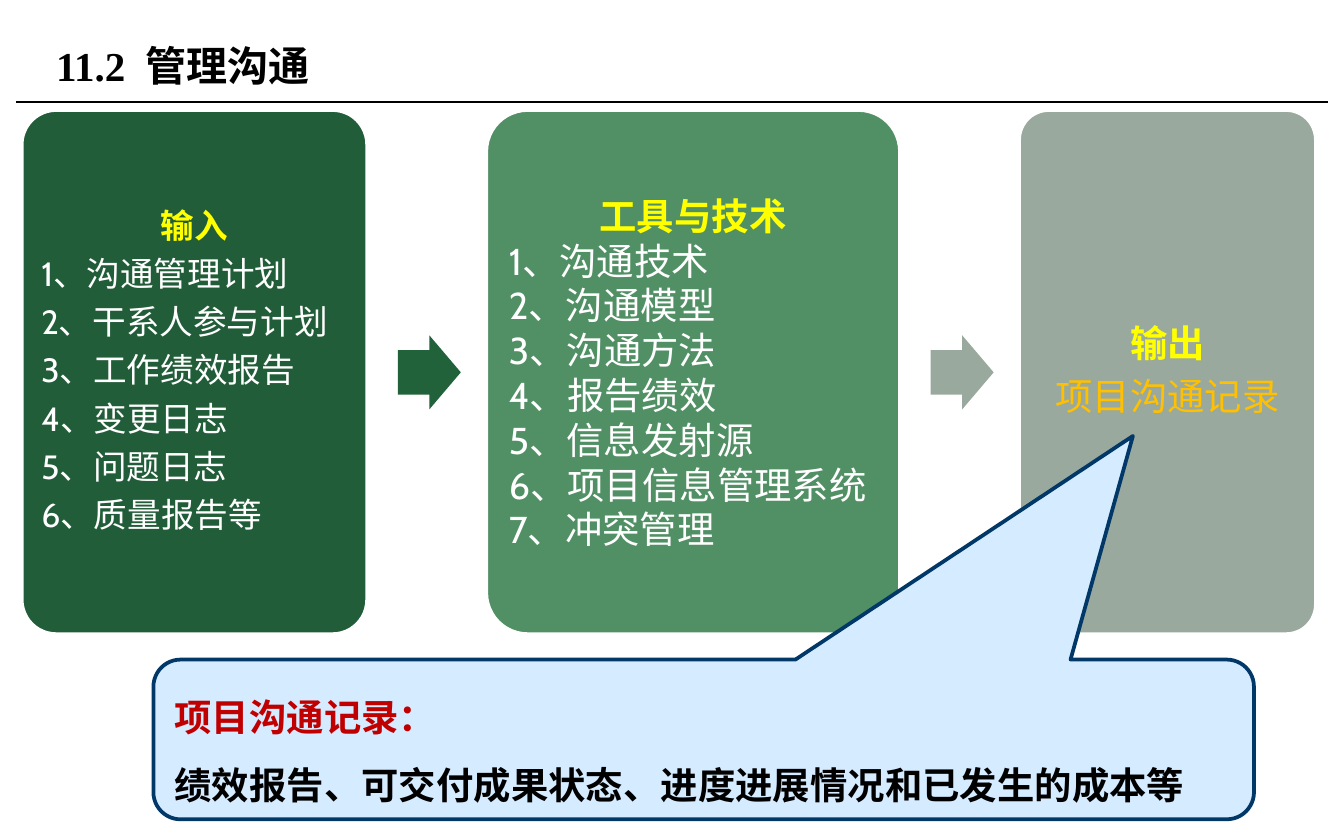
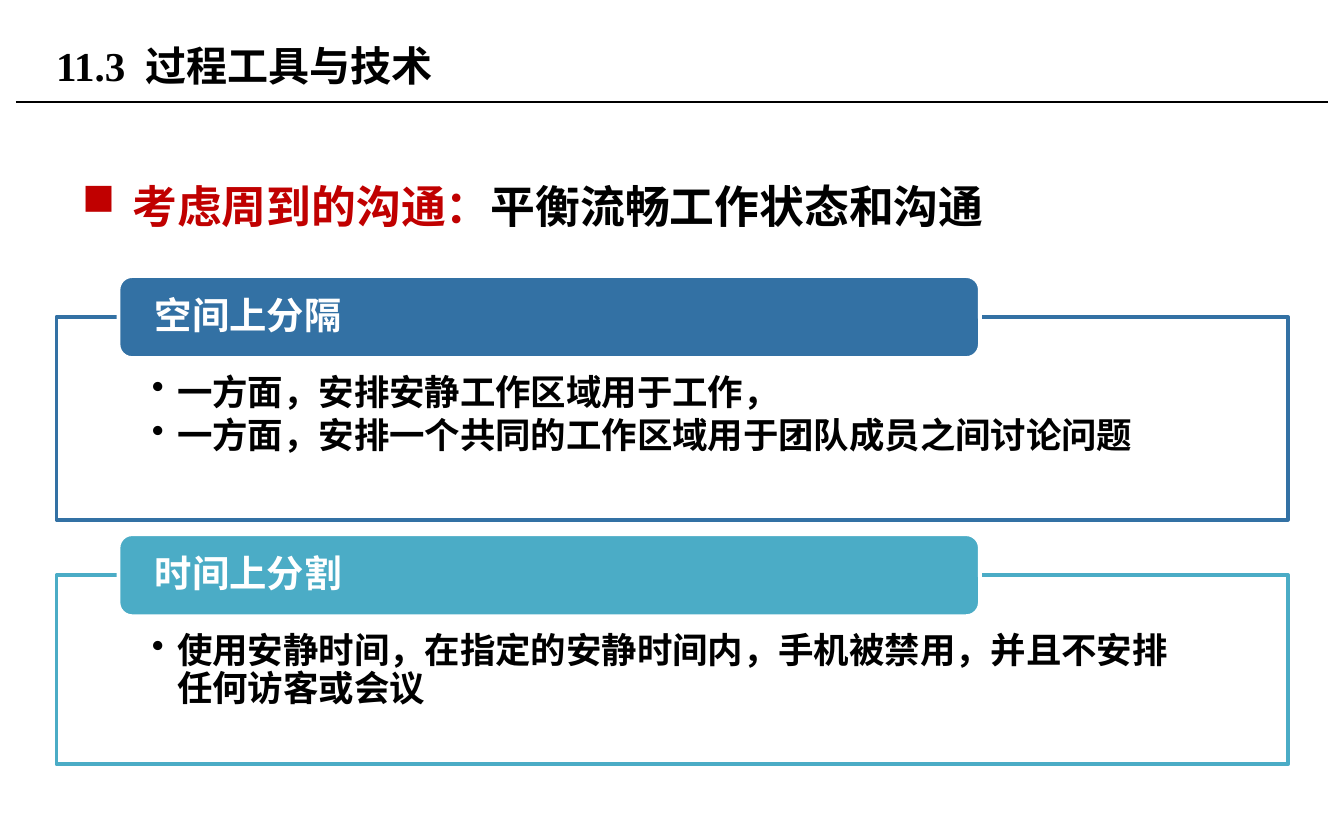
"""Build two slides on managing communications in a project."""
from lxml import etree
from pptx import Presentation
from pptx import util as u
from pptx.dml import color
from pptx.enum import shapes, text
from pptx.oxml import ns

Cm, Pt = u.Cm, u.Pt
SHAPE = shapes.MSO_SHAPE
CENTER = text.PP_ALIGN.CENTER
LEFT = text.PP_ALIGN.LEFT
SERIF, SANS = "Times New Roman", "Cabin"
COLORS = {
    "black": "000000", "white": "FFFFFF", "yellow": "FFFF00", "gold": "FFC000",
    "red": "C00000", "dark green": "215D38", "arrow green": "22623B",
    "green": "519065", "arrow gray": "99A99D", "gray": "9AA99E",
    "pale blue": "D5EBFF", "navy": "013868", "blue": "3371A4", "teal": "4BACC6",
}


def rgb(name):
    """Return the named colour."""
    return color.RGBColor.from_string(COLORS[name])


def write(frame, words, tint="black", size=20, font=SANS, bold=True, align=LEFT,
          spacing=1.0, after=0.0, bullet=None, indent=0.0, tail=""):
    """Add one paragraph; tail is closing text in black, after is a share of the size."""
    paragraph = frame.paragraphs[0]
    if paragraph.runs:
        paragraph = frame.add_paragraph()
    paragraph.alignment = align
    paragraph.line_spacing = spacing
    paragraph.space_before = Pt(0)
    paragraph.space_after = Pt(round(size * after, 2))
    if bullet:
        properties = paragraph._p.get_or_add_pPr()
        properties.set("marL", str(Cm(indent)))
        properties.set("indent", str(-Cm(indent)))
        etree.SubElement(properties, ns.qn("a:buChar")).set("char", bullet)
    for part, part_tint in ((words, tint), (tail, "black")):
        if part:
            run = paragraph.add_run()
            run.text = part
            run.font.name, run.font.size, run.font.bold = font, Pt(size), bold
            run.font.color.rgb = rgb(part_tint)


class Deck:
    """Hold the presentation, its shared style and the current slide."""

    def __init__(self):
        """Start an empty presentation."""
        self.presentation = Presentation()
        self.presentation.slide_width = Cm(25.4)
        self.presentation.slide_height = Cm(15.88)
        self.slide = None

    def start_slide(self, title):
        """Add a slide with its rule and title."""
        self.slide = self.presentation.slides.add_slide(self.presentation.slide_layouts[6])
        self.line(0.3, 1.93, 25.1, 1.93)
        frame = self.text_box(0.81, 0.33, 18.5, 1.8, anchor=text.MSO_ANCHOR.MIDDLE)
        write(frame, title, size=22, font=SERIF)

    def line(self, left, top, right, bottom):
        """Draw a thin black line."""
        connector = self.slide.shapes.add_connector(
            shapes.MSO_CONNECTOR.STRAIGHT, Cm(left), Cm(top), Cm(right), Cm(bottom))
        connector.line.color.rgb = rgb("black")
        connector.line.width = Pt(0.75)
        etree.SubElement(connector._element.spPr, ns.qn("a:effectLst"))

    def text_box(self, left, top, width, height, anchor=text.MSO_ANCHOR.TOP):
        """Add a wrapping text box and return its frame."""
        frame = self.slide.shapes.add_textbox(Cm(left), Cm(top), Cm(width), Cm(height)).text_frame
        frame.word_wrap = True
        frame.vertical_anchor = anchor
        return frame

    def shape(self, kind, left, top, width, height, fill, outline=None, adjust=(),
              insets=(0.25, 0.13, 0.25, 0.13), anchor=text.MSO_ANCHOR.MIDDLE):
        """Add a preset shape and return its text frame."""
        shape = self.slide.shapes.add_shape(kind, Cm(left), Cm(top), Cm(width), Cm(height))
        shape.shadow.inherit = False
        for index, value in enumerate(adjust):
            shape.adjustments[index] = value
        shape.fill.solid()
        shape.fill.fore_color.rgb = rgb(fill)
        if outline:
            shape.line.color.rgb = rgb(outline)
            shape.line.width = Pt(2)
        else:
            shape.line.fill.background()
        frame = shape.text_frame
        frame.word_wrap = True
        frame.vertical_anchor = anchor
        (frame.margin_left, frame.margin_top,
         frame.margin_right, frame.margin_bottom) = (Cm(inset) for inset in insets)
        return frame

    def stage(self, left, width, fill, heading, items, inset=0.2, item_tint="white",
              item_align=LEFT, **style):
        """Add one process stage with its heading and items."""
        frame = self.shape(SHAPE.ROUNDED_RECTANGLE, left, 2.08, width, 9.91, fill, "white",
                           adjust=(0.1,), insets=(inset,) * 4)
        write(frame, heading, "yellow", align=CENTER, **style)
        for item in items:
            write(frame, item, item_tint, bold=False, align=item_align, **style)

    def arrow(self, left, fill):
        """Add an arrow between two stages."""
        self.shape(SHAPE.RIGHT_ARROW, left, 6.34, 1.19, 1.4, fill, adjust=(0.6, 0.5))

    def panel(self, top, height, tint, heading, items):
        """Add an outlined panel of bullets under a heading tab."""
        frame = self.shape(SHAPE.RECTANGLE, 1.07, top, 23.27, height, "white", tint,
                           insets=(1.8, 1.09, 1.8, 0.38), anchor=text.MSO_ANCHOR.TOP)
        for item in items:
            write(frame, item, size=19, font=SERIF, spacing=0.9, after=0.15,
                  bullet="•", indent=0.48)
        tab = self.shape(SHAPE.ROUNDED_RECTANGLE, 2.24, top - 0.77, 16.28, 1.55, tint, "white",
                         insets=(0.61, 0, 0.61, 0))
        write(tab, heading, "white", spacing=0.9, after=0.35)


def numbered(*items):
    """Number the items in the Chinese manner."""
    return [f"{number}、{item}" for number, item in enumerate(items, 1)]


def build_process(deck):
    """Build the slide of inputs, tools and outputs."""
    deck.start_slide("11.2  管理沟通")
    loose = {"spacing": 0.9, "after": 0.35}
    stages = [
        (6.53, "dark green", "输入",
         numbered("沟通管理计划", "干系人参与计划", "工作绩效报告", "变更日志", "问题日志",
                  "质量报告等"),
         {"size": 18, "inset": 0.18, **loose}, "arrow green"),
        (7.82, "green", "工具与技术",
         numbered("沟通技术", "沟通模型", "沟通方法", "报告绩效", "信息发射源",
                  "项目信息管理系统", "冲突管理"),
         {}, "arrow gray"),
        (5.61, "gray", "输出", ["项目沟通记录"],
         {"item_tint": "gold", "item_align": CENTER, **loose}, None),
    ]
    left = 0.41
    for width, fill, heading, items, style, arrow_fill in stages:
        deck.stage(left, width, fill, heading, items, **style)
        if arrow_fill:
            deck.arrow(left + width + 0.58, arrow_fill)
        left += width + 2.25
    callout = deck.shape(SHAPE.ROUNDED_RECTANGULAR_CALLOUT, 2.9, 12.47, 20.8, 3.02,
                         "pale blue", "navy", adjust=(0.39, -1.9, 0.17))
    write(callout, "项目沟通记录：", "red", spacing=1.5)
    write(callout, "绩效报告、可交付成果状态、进度进展情况和已发生的成本等", spacing=1.5)


def build_tools(deck):
    """Build the slide on considerate communication."""
    deck.start_slide("11.3  过程工具与技术")
    frame = deck.text_box(1.3, 2.74, 22.81, 9.91)
    write(frame, "考虑周到的沟通：", "red", size=24, font=SERIF, spacing=1.5,
          bullet="■", indent=0.95, tail="平衡流畅工作状态和沟通")
    deck.panel(5.99, 3.84, "blue", "空间上分隔",
               ["一方面，安排安静工作区域用于工作，",
                "一方面，安排一个共同的工作区域用于团队成员之间讨论问题"])
    deck.panel(10.87, 3.58, "teal", "时间上分割",
               ["使用安静时间，在指定的安静时间内，手机被禁用，并且不安排任何访客或会议"])


def main():
    """Build and save the presentation."""
    deck = Deck()
    build_process(deck)
    build_tools(deck)
    deck.presentation.save("out.pptx")


if __name__ == "__main__":
    main()
